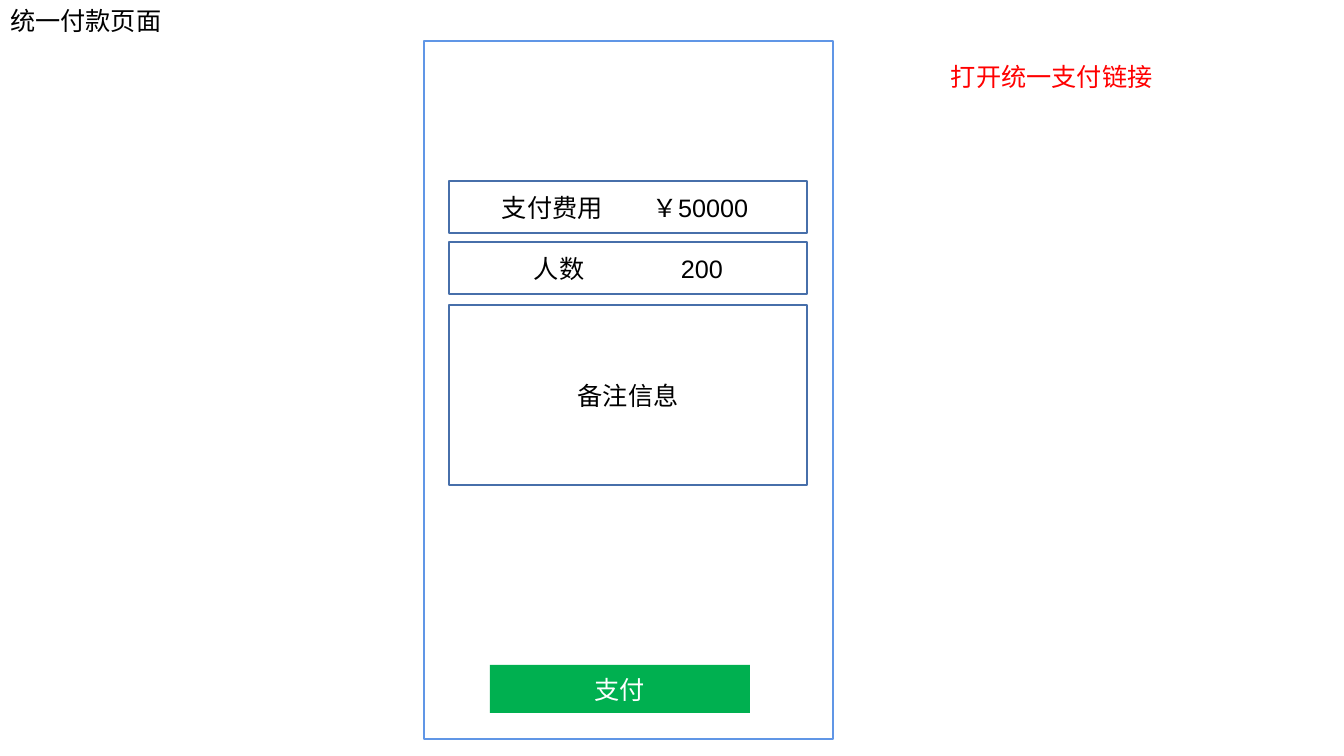
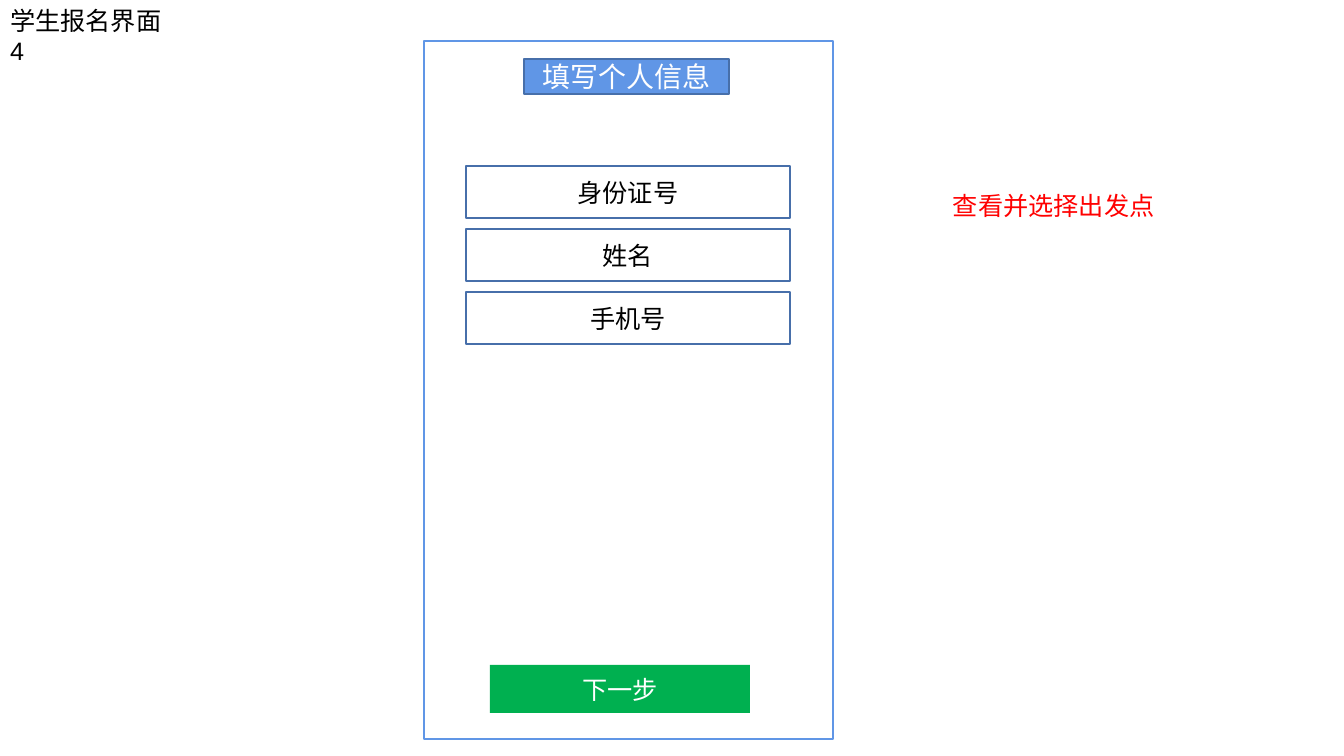
from pptx import Presentation
from pptx.dml.color import RGBColor
from pptx.enum.shapes import MSO_SHAPE as Preset
from pptx.enum.text import MSO_ANCHOR as Anchor, MSO_AUTO_SIZE as AutoSize, PP_ALIGN as Align
from pptx.oxml.ns import qn
from pptx.util import Emu, Pt
from lxml.etree import SubElement

FONT = "Arial"
BLACK, WHITE, RED = "000000", "FFFFFF", "FF0000"
BLUE, DARK_BLUE, GREEN = "6096E6", "476FAA", "00B050"
TITLE_ONLY_LAYOUT = 5
FIELD_HEIGHT = 52


def px(length):
    """Turn pixels into EMU."""
    return Emu(round(length * 914400 / 100.8))


def color(code):
    """Turn a hex string into a colour."""
    return RGBColor.from_string(code)


def set_all(target, values):
    """Set every attribute named in a dict of format values."""
    for name, value in values.items():
        setattr(target, name, value)


class PhoneMockup:
    """Draws phone page mockups in one shared style."""

    def __init__(self):
        """Start a widescreen presentation."""
        self.presentation = Presentation()
        set_all(self.presentation, {"slide_width": px(1344), "slide_height": px(756)})
        self.slide = None

    def page(self, title, title_width, action):
        """Add a slide with its title, phone frame and action button."""
        layout = self.presentation.slide_layouts[TITLE_ONLY_LAYOUT]
        self.slide = self.presentation.slides.add_slide(layout)
        heading = self.slide.shapes.title
        set_all(heading, {"left": 0, "top": 0, "width": px(title_width), "height": px(40)})
        self.put_text(heading, title, BLACK, align=Align.LEFT, anchor=Anchor.TOP)
        self.box(424, 41, 409, 698, line=BLUE, weight=1.5)
        self.box(490, 665, 260, 48, action, fill=GREEN, text_color=WHITE)

    def put_text(self, shape, text, text_color, size=18, align=Align.CENTER,
                 anchor=Anchor.MIDDLE):
        """Put one formatted paragraph into a shape."""
        frame = shape.text_frame
        set_all(frame, {"word_wrap": True, "auto_size": AutoSize.NONE,
                        "vertical_anchor": anchor})
        paragraph = frame.paragraphs[0]
        paragraph.alignment = align
        run = paragraph.add_run()
        run.text = text
        set_all(run.font, {"name": FONT, "size": Pt(size)})
        run.font.color.rgb = color(text_color)
        return paragraph

    def box(self, left, top, width, height, text="", fill=None, line=None, weight=1,
            text_color=BLACK, size=18):
        """Add a rectangle with optional fill, outline and centred text."""
        shape = self.slide.shapes.add_shape(
            Preset.RECTANGLE, px(left), px(top), px(width), px(height))
        shape.shadow.inherit = False
        if fill:
            shape.fill.solid()
            shape.fill.fore_color.rgb = color(fill)
        else:
            shape.fill.background()
        if line:
            shape.line.color.rgb = color(line)
            shape.line.width = Pt(weight)
        else:
            shape.line.fill.background()
        if text:
            self.put_text(shape, text, text_color, size)
        return shape

    def value_field(self, left, top, width, label, value, stops):
        """Add a field whose label and value stand at two tab stops."""
        field = self.box(left, top, width, FIELD_HEIGHT, line=DARK_BLUE)
        paragraph = self.put_text(field, f"\t{label}\t{value}", BLACK, align=Align.LEFT)
        tabs = SubElement(paragraph._p.get_or_add_pPr(), qn("a:tabLst"))
        for stop in stops:
            SubElement(tabs, qn("a:tab"), pos=str(px(stop)), algn="l")

    def note(self, left, top, width, text):
        """Add a red remark beside the phone."""
        remark = self.slide.shapes.add_textbox(px(left), px(top), px(width), px(40))
        self.put_text(remark, text, RED, align=Align.LEFT, anchor=Anchor.TOP)


def payment_page(mockup):
    """Build the payment page."""
    mockup.page("统一付款页面", 172, "支付")
    mockup.note(941, 56, 229, "打开统一支付链接")
    left, width = 449, 358
    mockup.value_field(left, 181, width, "支付费用", "\uffe550000", (43, 194))
    mockup.value_field(left, 242, width, "人数", "200", (75, 222))
    mockup.box(left, 305, width, 180, "备注信息", line=DARK_BLUE)


def registration_page(mockup):
    """Build the student registration page."""
    mockup.page("学生报名界面4", 176, "下一步")
    mockup.note(943, 185, 244, "查看并选择出发点")
    mockup.box(524, 59, 205, 35, "填写个人信息", fill=BLUE, line=DARK_BLUE,
               text_color=WHITE, size=20)
    first_top, pitch = 166, 63
    for row, label in enumerate(("身份证号", "姓名", "手机号")):
        mockup.box(466, first_top + row * pitch, 324, FIELD_HEIGHT, label, line=DARK_BLUE)


mockup = PhoneMockup()
payment_page(mockup)
registration_page(mockup)
mockup.presentation.save("out.pptx")
